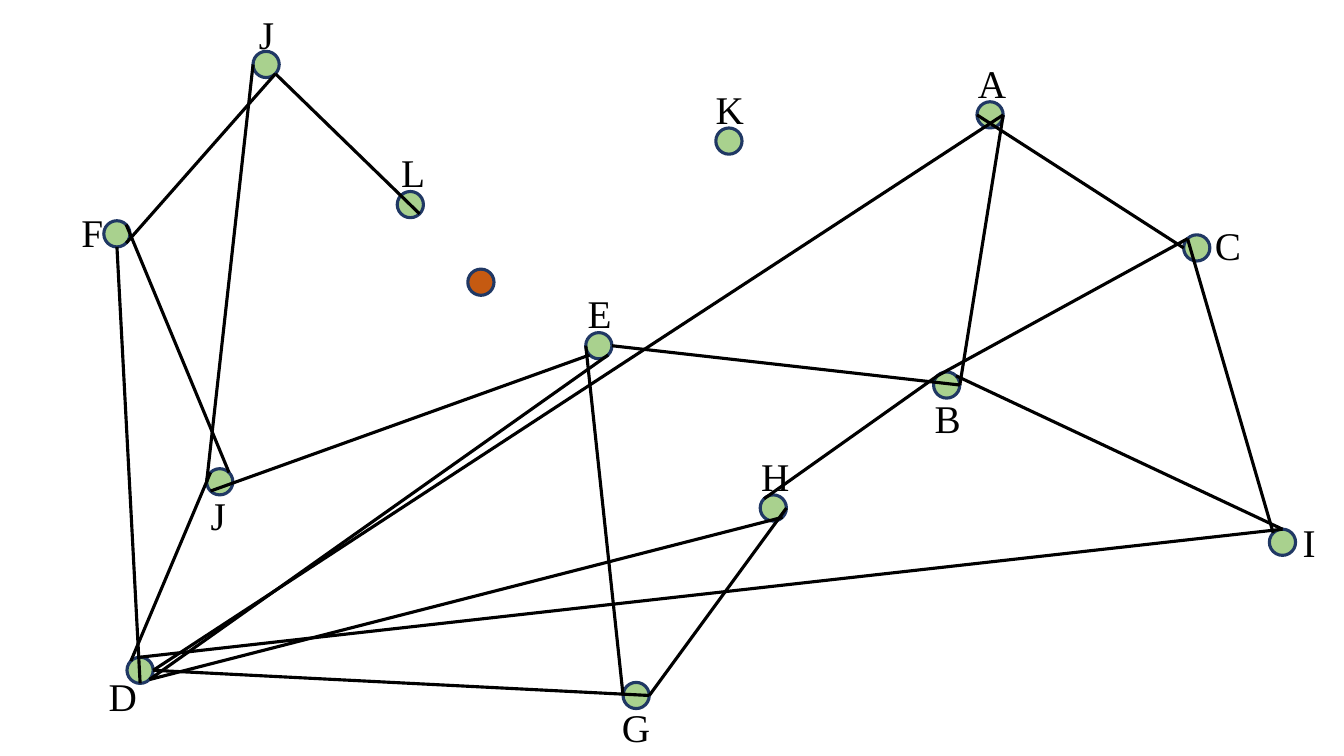
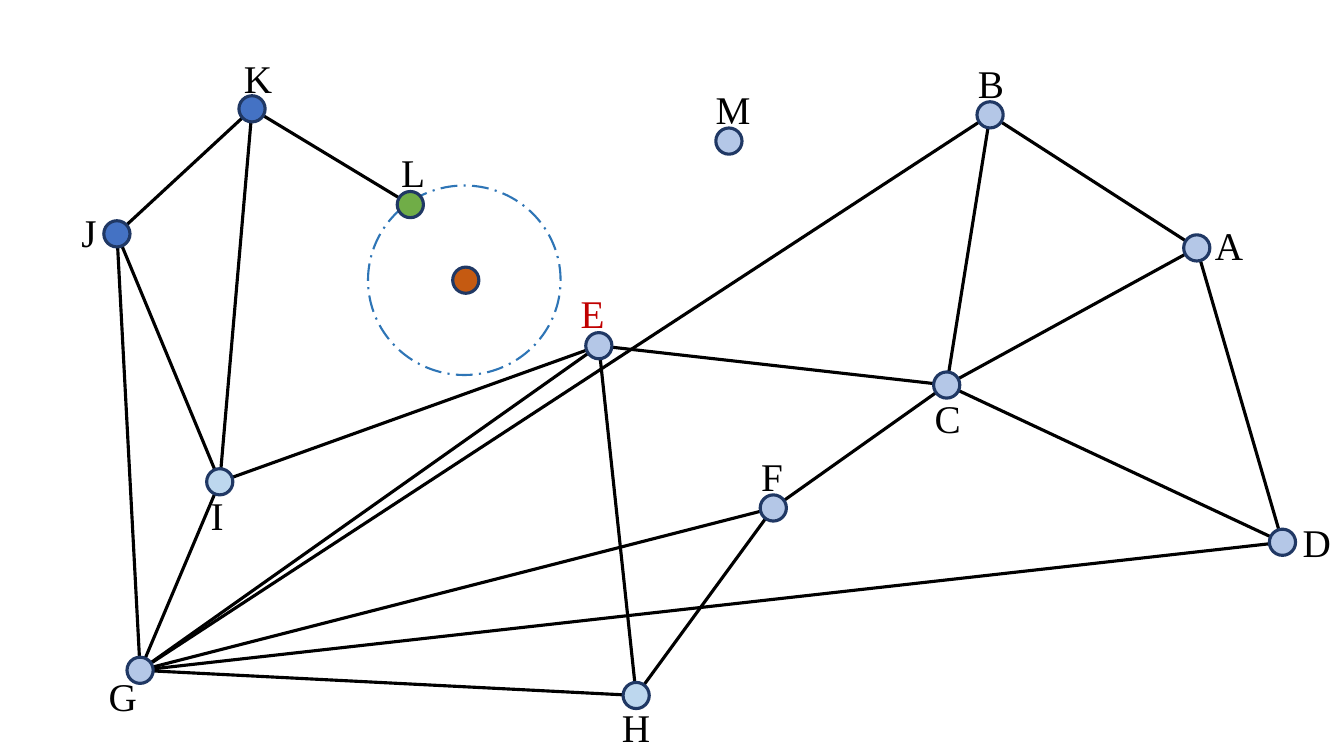
"""Draw two labelled node graphs that share one layout of spots and edges."""
from dataclasses import dataclass
from math import cos, pi, sin

from lxml.etree import SubElement
from pptx import Presentation
from pptx.dml.color import RGBColor
from pptx.enum.dml import MSO_LINE_DASH_STYLE as Dash
from pptx.enum.shapes import MSO_CONNECTOR as Link, MSO_SHAPE as Shape
from pptx.enum.text import MSO_AUTO_SIZE as Fit, PP_ALIGN as Align
from pptx.oxml.ns import qn
from pptx.util import Inches, Pt


@dataclass(frozen=True)
class Theme:
    """Hold colours, font and sizes."""
    font: str = "Times New Roman"
    size: int = 28
    ink: str = "000000"
    red: str = "C00000"
    rim: str = "203864"
    ring: str = "2E75B6"
    core: str = "C55A11"
    sage: str = "A9D18E"
    mist: str = "B4C7E7"
    sky: str = "BDD7EE"
    blue: str = "4472C4"
    green: str = "70AD47"
    thick: float = 2.25
    thin: float = 1.5


T = Theme()
DOT = 0.26
TALL = 0.57
WIDE = {"L": 0.31, "E": 0.31, "M": 0.37}

SPOTS = {
    "M": ((7.1, 1.27), (7, 0.8)),
    "K": ((2.37, 0.95), (2.32, 0.49)),
    "B": ((9.69, 1.01), (9.6, 0.54)),
    "A": ((11.74, 2.33), (11.95, 2.15)),
    "D": ((12.59, 5.25), (12.82, 5.09)),
    "C": ((9.26, 3.69), (9.17, 3.86)),
    "F": ((7.54, 4.91), (7.45, 4.44)),
    "H": ((6.18, 6.77), (6.07, 6.93)),
    "E": ((5.81, 3.3), (5.66, 2.82)),
    "I": ((2.05, 4.65), (1.99, 4.83)),
    "G": ((1.26, 6.52), (0.98, 6.62)),
    "J": ((1.03, 2.19), (0.71, 2.02)),
    "L": ((3.94, 1.9), (3.88, 1.42)),
}
FIRST = SPOTS | {
    "K": ((2.51, 0.51), (2.47, 0.05)),
    "E": ((5.81, 3.3), (5.73, 2.82)),
}
NAMES = dict(zip("LEMBCADFHGIJK", "LEKABCIHGDJFJ"))
FILLS = {"K": T.blue, "J": T.blue, "H": T.sky, "I": T.sky, "L": T.green}

SITES = ("E", "SE", "S", "SW", "W", "NW", "N", "NE")
EDGES = [
    ("KJ", "SE", "SE"), ("KL", "SE", "SE"), ("KI", "W", "W"),
    ("GJ", "S", "S"), ("IJ", "NE", "NE"), ("EI", "SW", "SW"),
    ("EC", "E", "E"), ("FC", "NW", "NW"), ("FH", "E", "E"),
    ("GH", "E", "E"), ("GF", "SE", "SE"), ("GD", "N", "N"),
    ("GB", "E", "E"), ("BC", "E", "E"), ("BA", "W", "W"),
    ("CA", "NW", "NW"), ("DA", "NW", "NW"), ("CD", "NE", "N"),
    ("GI", "NW", "NW"), ("EG", "SE", "SE"), ("EH", "W", "W"),
]


def paint(line, tint, width):
    """Set the colour and width of a line."""
    line.color.rgb = RGBColor.from_string(tint)
    line.width = Pt(width)


def oval(parts, at, wide=DOT, high=DOT, fill=None, rim=T.rim, width=T.thick):
    """Add an ellipse, hollow when it has no fill."""
    shape = parts.add_shape(Shape.OVAL, *map(Inches, (*at, wide, high)))
    shape.shadow.inherit = False
    if fill:
        shape.fill.solid()
        shape.fill.fore_color.rgb = RGBColor.from_string(fill)
    else:
        shape.fill.background()
    paint(shape.line, rim, width)
    return shape


def label(parts, text, at, wide=0.35, tint=T.ink, size=T.size):
    """Add a text box that holds one label."""
    box = parts.add_textbox(*map(Inches, (*at, wide, TALL)))
    frame = box.text_frame
    frame.word_wrap = True
    frame.auto_size = Fit.SHAPE_TO_FIT_TEXT
    para = frame.paragraphs[0]
    para.alignment = Align.LEFT
    run = para.add_run()
    run.text = text
    run.font.name = T.font
    run.font.size = Pt(size)
    run.font.color.rgb = RGBColor.from_string(tint)


def node(slide, spots, key, text, fill, tint=T.ink):
    """Add a dot grouped with its label."""
    spot, place = spots[key]
    parts = slide.shapes.add_group_shape().shapes
    oval(parts, spot, fill=fill)
    label(parts, text, place, wide=WIDE.get(key, 0.35), tint=tint)


def end(spot, site=None):
    """Give the centre of a dot, or the point at a site on its rim."""
    half = DOT / 2
    x, y = spot[0] + half, spot[1] + half
    if site:
        turn = SITES.index(site) * pi / 4
        x, y = x + half * cos(turn), y + half * sin(turn)
    return Inches(x), Inches(y)


def web(slide, spots, rims):
    """Join the dots, at their rims or at their centres."""
    for (head, tail), out, into in EDGES:
        start = end(spots[head][0], out if rims else None)
        stop = end(spots[tail][0], into if rims else None)
        line = slide.shapes.add_connector(Link.STRAIGHT, *start, *stop)
        paint(line.line, T.ink, T.thick)
        SubElement(line.element.spPr, qn("a:effectLst"))


deck = Presentation()
deck.slide_width, deck.slide_height = Inches(13.33), Inches(7.5)
blank = deck.slide_layouts[6]

slide = deck.slides.add_slide(blank)
oval(slide.shapes, (4.64, 2.67), fill=T.core)
for key, name in NAMES.items():
    node(slide, FIRST, key, name, T.sage)
web(slide, FIRST, rims=True)

slide = deck.slides.add_slide(blank)
oval(slide.shapes, (4.49, 2.65), fill=T.core)
web(slide, SPOTS, rims=False)
ring = oval(slide.shapes, (3.65, 1.84), 1.91, 1.88, rim=T.ring, width=T.thin)
ring.line.dash_style = Dash.LONG_DASH_DOT
for key in SPOTS:
    tint = T.red if key == "E" else T.ink
    node(slide, SPOTS, key, key, FILLS.get(key, T.mist), tint)

deck.save("out.pptx")
